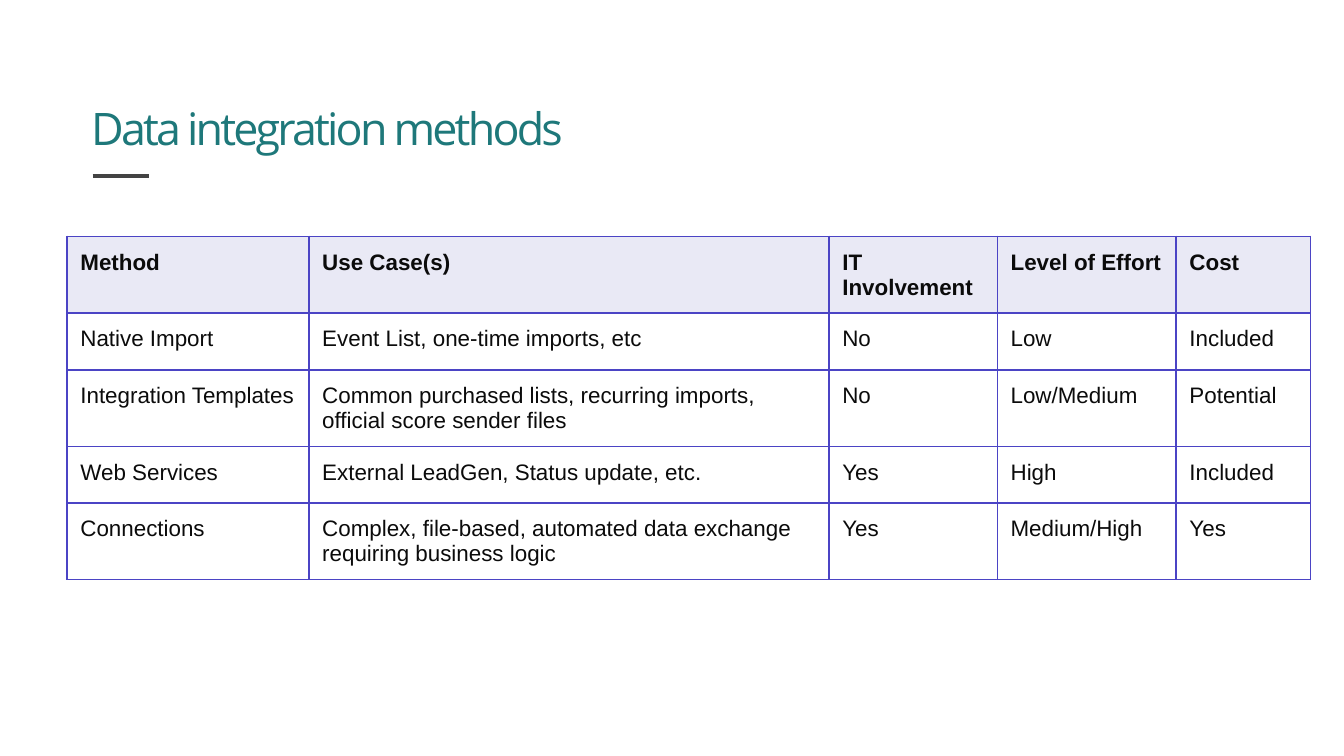
from lxml import etree
from pptx import Presentation
from pptx.dml.color import RGBColor
from pptx.enum.shapes import MSO_CONNECTOR
from pptx.enum.text import MSO_ANCHOR, PP_ALIGN
from pptx.oxml.ns import qn
from pptx.util import Cm, Pt

STRAIGHT = MSO_CONNECTOR.STRAIGHT
MIDDLE = MSO_ANCHOR.MIDDLE
LEFT = PP_ALIGN.LEFT

TEAL = RGBColor(0x1E, 0x78, 0x7A)
GREY = RGBColor(0x43, 0x43, 0x43)
BLACK = RGBColor(0x0B, 0x0B, 0x0B)
LAVENDER = RGBColor(0xE9, 0xE9, 0xF5)
INDIGO = RGBColor(0x4B, 0x44, 0xC5)

TITLE = "Data integration methods"
ROWS = [
    ("Method", "Use Case(s)", "IT Involvement", "Level of Effort", "Cost"),
    ("Native Import", "Event List, one-time imports, etc", "No", "Low", "Included"),
    ("Integration Templates",
     "Common purchased lists, recurring imports, official score sender files",
     "No", "Low/Medium", "Potential"),
    ("Web Services", "External LeadGen, Status update, etc.", "Yes", "High", "Included"),
    ("Connections",
     "Complex, file-based, automated data exchange requiring business logic",
     "Yes", "Medium/High", "Yes"),
]
COL_WIDTHS = [4.57, 9.83, 3.18, 3.38, 2.54]
ROW_HEIGHT = 1.07
CELL_MARGIN = Cm(0.25)


def add_run(p, text, font, size, color, bold=False):
    r = p.add_run()
    r.text = text
    r.font.name = font
    r.font.size = Pt(size)
    r.font.bold = bold
    r.font.color.rgb = color
    return r


def set_borders(cell, color, width):
    """Draw all four sides; call before the cell's fill is set."""
    tcPr = cell._tc.get_or_add_tcPr()
    for side in ("a:lnL", "a:lnR", "a:lnT", "a:lnB"):
        ln = etree.SubElement(tcPr, qn(side), w=str(width))
        fill = etree.SubElement(ln, qn("a:solidFill"))
        etree.SubElement(fill, qn("a:srgbClr"), val=str(color))


def add_title(slide):
    title = slide.shapes.title
    title.left, title.top = Cm(1.47), Cm(1.22)
    title.width, title.height = Cm(21.16), Cm(2.39)
    tf = title.text_frame
    tf.vertical_anchor = MIDDLE
    p = tf.paragraphs[0]
    p.alignment = LEFT
    r = add_run(p, TITLE, "Open Sans", 24, TEAL)
    r.font._element.set("spc", "-150")

    rule = slide.shapes.add_connector(STRAIGHT, Cm(1.75), Cm(3.33), Cm(2.82), Cm(3.33))
    rule.line.color.rgb = GREY
    rule.line.width = Pt(2)
    etree.SubElement(rule._element.spPr, qn("a:effectLst"))


def add_methods_table(slide):
    frame = slide.shapes.add_table(
        len(ROWS), len(COL_WIDTHS), Cm(1.27), Cm(4.47),
        Cm(sum(COL_WIDTHS)), Cm(ROW_HEIGHT * len(ROWS)))
    table = frame.table
    table.horz_banding = False
    for column, width in zip(table.columns, COL_WIDTHS):
        column.width = Cm(width)
    for i, texts in enumerate(ROWS):
        is_header = i == 0
        table.rows[i].height = Cm(ROW_HEIGHT)
        for j, text in enumerate(texts):
            cell = table.cell(i, j)
            cell.margin_left = cell.margin_right = CELL_MARGIN
            cell.margin_top = cell.margin_bottom = CELL_MARGIN
            set_borders(cell, INDIGO, Pt(1))
            if is_header:
                cell.fill.solid()
                cell.fill.fore_color.rgb = LAVENDER
            else:
                cell.fill.background()
            add_run(cell.text_frame.paragraphs[0], text, "Arial", 12, BLACK, is_header)


def main():
    prs = Presentation()
    prs.slide_width, prs.slide_height = Cm(25.4), Cm(14.29)
    slide = prs.slides.add_slide(prs.slide_layouts[5])
    add_title(slide)
    add_methods_table(slide)
    prs.save("out.pptx")


if __name__ == "__main__":
    main()
